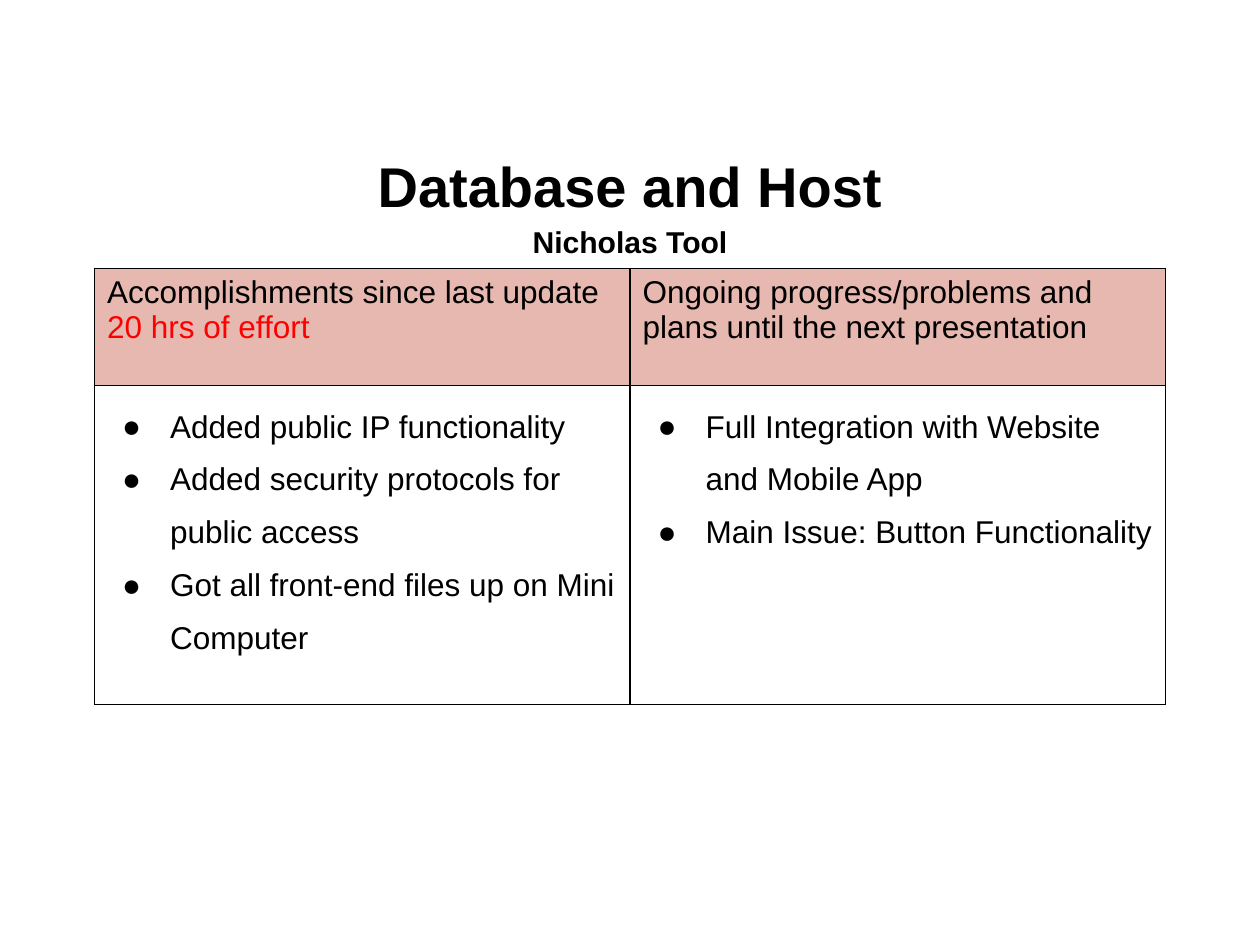
from pptx import Presentation
from pptx.dml.color import RGBColor as Color
from pptx.enum.text import MSO_ANCHOR as Anchor, MSO_AUTO_SIZE as AutoSize, PP_ALIGN as Align
from pptx.oxml.ns import qn
from pptx.util import Inches, Pt
from lxml.etree import SubElement

BLACK, RED, PINK, WHITE = "000000", "FF0000", "E6B8AF", "FFFFFF"
TITLE = [("Database and Host", 32), ("Nicholas Tool", 17.2)]
HEADINGS = [
    [("Accomplishments since last update ", BLACK), ("20 hrs of effort", RED)],
    [("Ongoing progress/problems and plans until the next presentation", BLACK)],
]
LISTS = [
    [
        "Added public IP functionality",
        "Added security protocols for public access",
        "Got all front-end files up on Mini Computer",
    ],
    [
        "Full Integration with Website and Mobile App",
        "Main Issue: Button Functionality",
    ],
]
WIDTH, HEIGHT = 10, 7.5
MARGIN, TABLE_TOP = 0.75, 2.13
ROW_HEIGHTS = [0.93, 2.53]


def style(span, size, color=BLACK, bold=False):
    span.font.name = "Arial"
    span.font.size = Pt(size)
    span.font.bold = bold
    span.font.color.rgb = Color.from_string(color)


def add_bullet(para):
    props = para._p.get_or_add_pPr()
    props.set("marL", str(Inches(0.5)))
    props.set("indent", str(Inches(-0.38)))
    tint = SubElement(props, qn("a:buClr"))
    SubElement(tint, qn("a:srgbClr"), val=BLACK)
    SubElement(props, qn("a:buFont"), typeface="Arial")
    SubElement(props, qn("a:buChar"), char="●")


def format_cell(cell, color):
    props = cell._tc.get_or_add_tcPr()
    for side in ("lnL", "lnR", "lnT", "lnB"):
        line = SubElement(props, qn(f"a:{side}"), w=str(Pt(1)))
        fill = SubElement(line, qn("a:solidFill"))
        SubElement(fill, qn("a:srgbClr"), val=BLACK)
    cell.fill.solid()
    cell.fill.fore_color.rgb = Color.from_string(color)
    cell.margin_left = cell.margin_right = Inches(0.1)
    cell.margin_top = cell.margin_bottom = Inches(0.05)


def add_title(page):
    title = page.shapes.title
    title.left, title.top = Inches(0.05 * WIDTH), Inches(1.15)
    title.width, title.height = Inches(0.9 * WIDTH), Inches(0.88)
    frame = title.text_frame
    frame.auto_size = AutoSize.NONE
    frame.vertical_anchor = Anchor.MIDDLE
    frame.text = "\n".join(text for text, size in TITLE)
    for para, (text, size) in zip(frame.paragraphs, TITLE):
        para.alignment = Align.CENTER
        para.line_spacing = 1.15
        style(para.runs[0], size, bold=True)


def add_columns(page):
    table = page.shapes.add_table(
        len(ROW_HEIGHTS), len(LISTS), Inches(MARGIN), Inches(TABLE_TOP),
        Inches(WIDTH - 2 * MARGIN), Inches(sum(ROW_HEIGHTS))).table
    for row, height in zip(table.rows, ROW_HEIGHTS):
        row.height = Inches(height)
    for column, (heading, items) in enumerate(zip(HEADINGS, LISTS)):
        head, body = table.cell(0, column), table.cell(1, column)
        format_cell(head, PINK)
        format_cell(body, WHITE)
        for text, color in heading:
            span = head.text_frame.paragraphs[0].add_run()
            span.text = text
            style(span, 18, color)
        body.text_frame.text = "\n".join(items)
        for para in body.text_frame.paragraphs:
            para.line_spacing = 1.5
            add_bullet(para)
            style(para.runs[0], 18)


def main():
    deck = Presentation()
    deck.slide_width, deck.slide_height = Inches(WIDTH), Inches(HEIGHT)
    page = deck.slides.add_slide(deck.slide_layouts[5])
    add_title(page)
    add_columns(page)
    deck.save("out.pptx")


if __name__ == "__main__":
    main()
